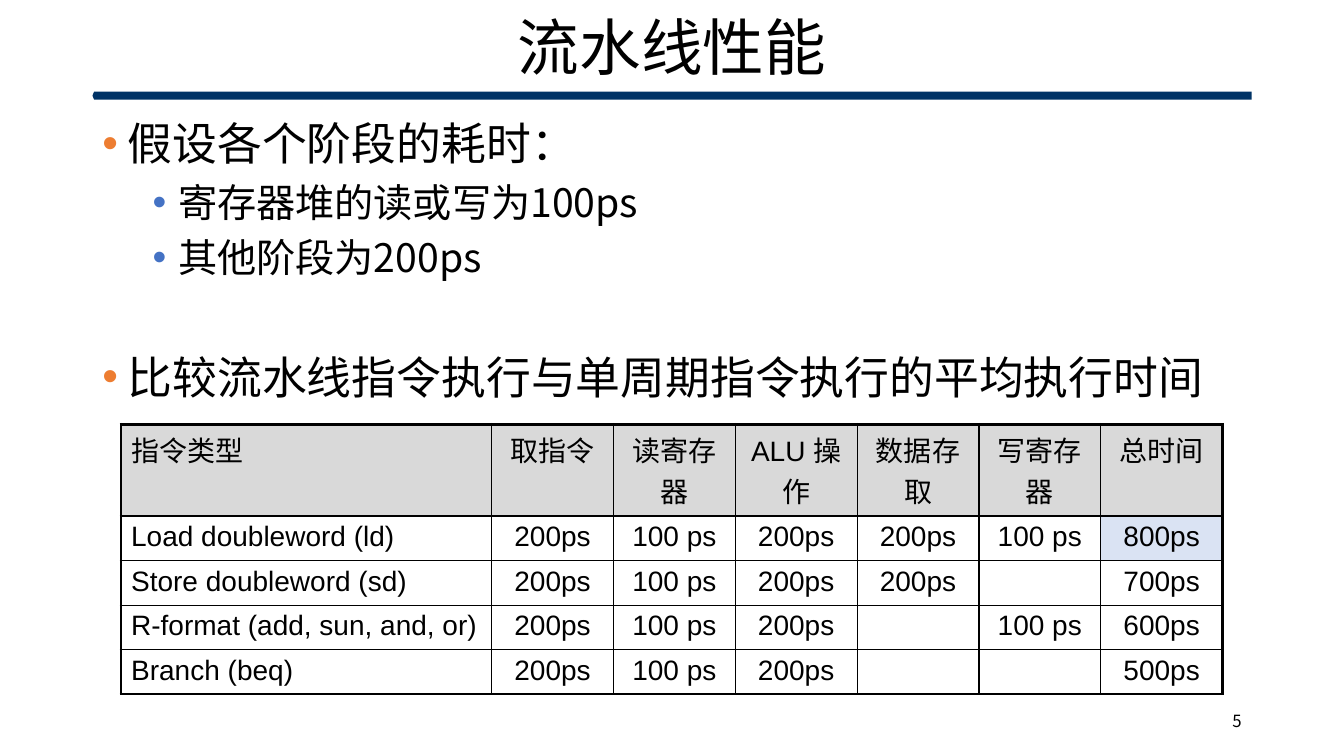
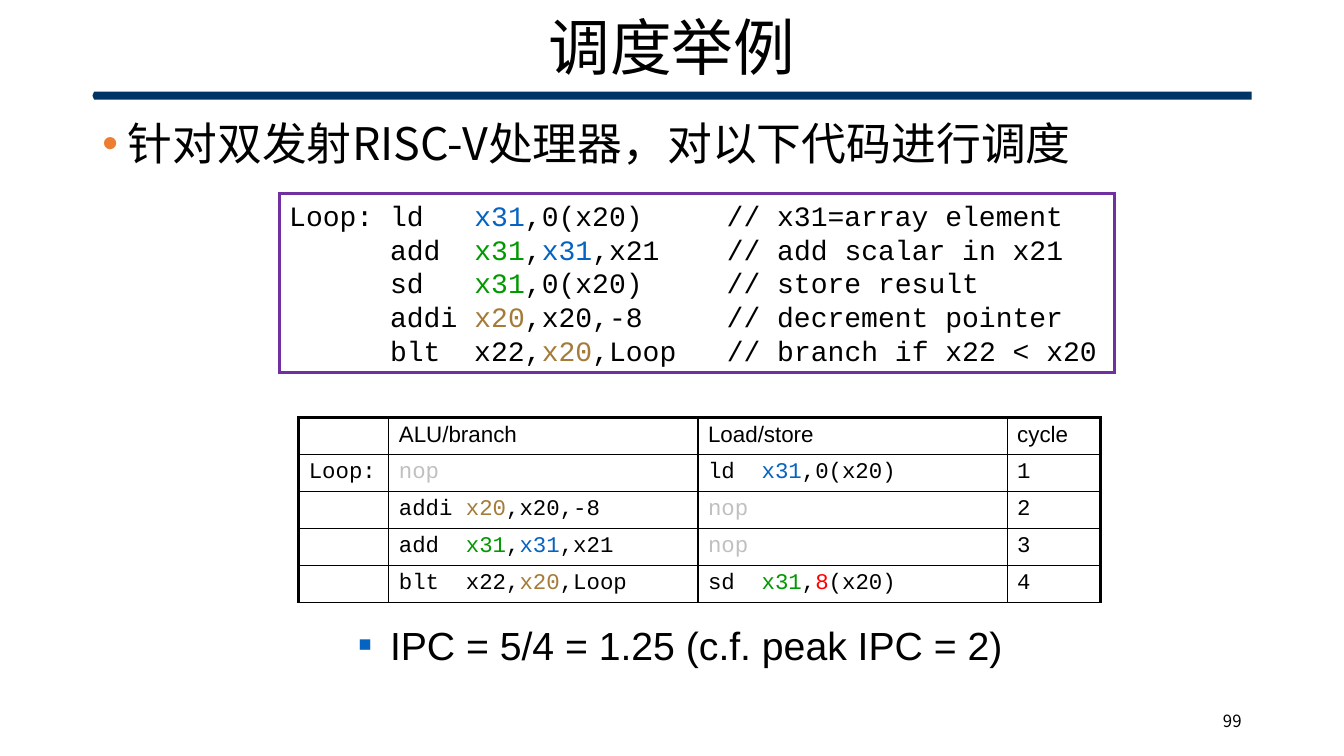
from dataclasses import dataclass

from lxml import etree
from pptx import Presentation
from pptx import util as u
from pptx.dml.color import RGBColor
from pptx.enum import shapes, text
from pptx.oxml.ns import qn

Cm, Pt = u.Cm, u.Pt
LEFT, WIDE = 2.33, 29.21


@dataclass(frozen=True)
class Theme:
    black: str = "000000"
    navy: str = "003366"
    orange: str = "ED7D31"
    blue: str = "4472C4"
    violet: str = "7030A0"
    grey: str = "D9D9D9"
    pale: str = "DAE3F3"
    link: str = "0563C1"
    green: str = "009900"
    brown: str = "A47B38"
    red: str = "FF0000"
    dim: str = "C0C0C0"
    cjk: str = "Noto Sans CJK SC"
    sans: str = "Arial"
    mono: str = "Courier New"
    title: int = 44
    head: int = 32
    sub: int = 28
    code: int = 20
    cell: int = 16
    foot: int = 12


T = Theme()
MARKS = {"b": T.link, "g": T.green, "t": T.brown, "r": T.red, "n": T.dim}


def rgb(color):
    return RGBColor.from_string(color)


def node(parent, tag, **attrs):
    return etree.SubElement(parent, qn("a:" + tag), attrs)


def style(para, size, face, align=None):
    para.alignment = align
    font = para.font
    font.size, font.name = Pt(size), face
    font.color.rgb = rgb(T.black)
    node(para._p.pPr.find(qn("a:defRPr")), "ea", typeface=T.cjk)


def mark(para, line):
    """Add runs; each |kword| part takes the colour that MARKS gives for k."""
    for i, part in enumerate(line.split("|")):
        if part:
            run = para.add_run()
            run.text = part[i % 2:]
            if i % 2:
                run.font.color.rgb = rgb(MARKS[part[0]])


def bullet(para, left, hang, color, char="•", scale=100):
    props = para._p.get_or_add_pPr()
    props.set("marL", str(Cm(left)))
    props.set("indent", str(-Cm(hang)))
    node(node(props, "buClr"), "srgbClr", val=color)
    node(props, "buSzPct", val=str(scale * 1000))
    node(props, "buFont", typeface=T.sans)
    node(props, "buChar", char=char)


def edge(cell, **widths):
    props = cell._tc.get_or_add_tcPr()
    for side in "LRTB":
        line = node(props, "ln" + side, w=str(Pt(widths[side])))
        node(node(line, "solidFill"), "srgbClr", val=T.black)


class Deck:
    def __init__(self):
        self.prs = Presentation()
        self.prs.slide_width, self.prs.slide_height = Cm(33.87), Cm(19.05)

    def page(self, title, number):
        self.slide = self.prs.slides.add_slide(self.prs.slide_layouts[6])
        bar = self.shape(shapes.MSO_SHAPE.PENTAGON, LEFT, 2.31, WIDE, 0.2)
        bar.adjustments[0] = 0.2
        bar.rotation = 180
        bar.fill.solid()
        bar.fill.fore_color.rgb = rgb(T.navy)
        bar.line.fill.background()
        head = self.label(title, T.title, text.PP_ALIGN.CENTER,
                          LEFT, 0.43, WIDE, 1.68)
        head.line_spacing = 0.9
        self.label(number, T.foot, text.PP_ALIGN.RIGHT, 23.92, 17.65, 7.62, 1.02)

    def shape(self, kind, *box):
        shape = self.slide.shapes.add_shape(kind, *map(Cm, box))
        shape.shadow.inherit = False
        return shape

    def frame(self, *box):
        frame = self.slide.shapes.add_textbox(*map(Cm, box)).text_frame
        frame.word_wrap = True
        return frame

    def label(self, words, size, align, *box):
        frame = self.frame(*box)
        frame.vertical_anchor = text.MSO_ANCHOR.MIDDLE
        para = frame.paragraphs[0]
        para.text = words
        style(para, size, T.cjk, align)
        return para

    def body(self, items):
        """Fill the body with bullets given as (level, space before, words)."""
        frame = self.frame(LEFT, 2.8, WIDE, 14.63)
        for i, (level, gap, words) in enumerate(items):
            para = frame.add_paragraph() if i else frame.paragraphs[0]
            para.text = words
            para.level = level
            bullet(para, 0.64 + 1.27 * level, 0.64, T.blue if level else T.orange)
            para.line_spacing, para.space_before = 1.0, Pt(gap)
            style(para, T.sub if level else T.head, T.cjk)

    def note(self, words, *box):
        para = self.frame(*box).paragraphs[0]
        para.text = words
        para.level = 1
        bullet(para, 2.06, 0.79, T.link, "■", 55)
        style(para, T.sub, T.sans)

    def code(self, lines, *box):
        rect = self.shape(shapes.MSO_SHAPE.RECTANGLE, *box)
        rect.fill.background()
        rect.line.color.rgb = rgb(T.violet)
        rect.line.width = Pt(2.25)
        node(rect._element.spPr.find(qn("a:ln")), "miter", lim="800000")
        frame = rect.text_frame
        frame.word_wrap = False
        for i, line in enumerate(lines):
            para = frame.add_paragraph() if i else frame.paragraphs[0]
            mark(para, line)
            style(para, T.code, T.mono, text.PP_ALIGN.LEFT)

    def table(self, rows, left, top, cols, highs, size, face,
              align=text.PP_ALIGN.LEFT, fills=None, base=2.25):
        """Draw a grid; fills maps (row, column) to a colour, base is the bottom rule."""
        fills = fills or {}
        grid = self.slide.shapes.add_table(
            len(rows), len(cols), Cm(left), Cm(top),
            Cm(sum(cols)), Cm(sum(highs))).table
        grid.first_row = grid.horz_banding = False
        for col, wide in zip(grid.columns, cols):
            col.width = Cm(wide)
        last, end = len(rows) - 1, len(cols) - 1
        for r, (row, high) in enumerate(zip(rows, highs)):
            grid.rows[r].height = Cm(high)
            for c, words in enumerate(row):
                cell = grid.cell(r, c)
                para = cell.text_frame.paragraphs[0]
                mark(para, words)
                style(para, size, face if r else T.sans,
                      align if c else text.PP_ALIGN.LEFT)
                edge(cell, L=1 if c else 2.25, R=2.25 if c == end else 1,
                     T={0: 2.25, 1: 1.5}.get(r, 1),
                     B=1.5 if r == 0 else base if r == last else 1)
                if (r, c) in fills:
                    cell.fill.solid()
                    cell.fill.fore_color.rgb = rgb(fills[r, c])
                else:
                    cell.fill.background()


def speed(deck):
    deck.page("流水线性能", "5")
    deck.body([
        (0, 10, "假设各个阶段的耗时："),
        (1, 6, "寄存器堆的读或写为100ps"),
        (1, 6, "其他阶段为200ps"),
        (0, 49, "比较流水线指令执行与单周期指令执行的平均执行时间"),
    ])
    long, short = "200ps", "100 ps"
    rows = [
        ["指令类型", "取指令", "读寄存器", "ALU 操作", "数据存取", "写寄存器", "总时间"],
        ["Load doubleword (ld)", long, short, long, long, short, "800ps"],
        ["Store doubleword (sd)", long, short, long, long, "", "700ps"],
        ["R-format (add, sun, and, or)", long, short, long, "", short, "600ps"],
        ["Branch (beq)", long, short, long, "", "", "500ps"],
    ]
    fills = {(0, c): T.grey for c in range(7)}
    fills[1, 6] = T.pale
    deck.table(rows, 3.05, 10.69, [9.34] + [3.07] * 6, [2.32] + [1.12] * 4,
               T.code, T.sans, text.PP_ALIGN.CENTER, fills)


def sched(deck):
    deck.page("调度举例", "99")
    deck.body([(0, 10, "针对双发射RISC-V处理器，对以下代码进行调度")])
    deck.code([
        "Loop: ld   |bx31|,0(x20)     // x31=array element",
        "      add  |gx31|,|bx31|,x21    // add scalar in x21",
        "      sd   |gx31|,0(x20)     // store result",
        "      addi |tx20|,x20,-8     // decrement pointer",
        "      blt  x22,|tx20|,Loop   // branch if x22 < x20",
    ], 7.04, 4.87, 21.05, 4.51)
    rows = [
        ["", "ALU/branch", "Load/store", "cycle"],
        ["Loop:", "|nnop|", "ld  |bx31|,0(x20)", "1"],
        ["", "addi |tx20|,x20,-8", "|nnop|", "2"],
        ["", "add  |gx31|,|bx31|,x21", "|nnop|", "3"],
        ["", "blt  x22,|tx20|,Loop", "sd  |gx31|,|r8|(x20)", "4"],
    ]
    deck.table(rows, 7.53, 10.52, [2.27, 7.79, 7.79, 2.35], [0.93] * 5,
               T.cell, T.mono, base=1)
    deck.note("IPC = 5/4 = 1.25 (c.f. peak IPC = 2)", 7.52, 15.52, 21.59, 1.8)


def main():
    deck = Deck()
    speed(deck)
    sched(deck)
    deck.prs.save("out.pptx")


if __name__ == "__main__":
    main()
